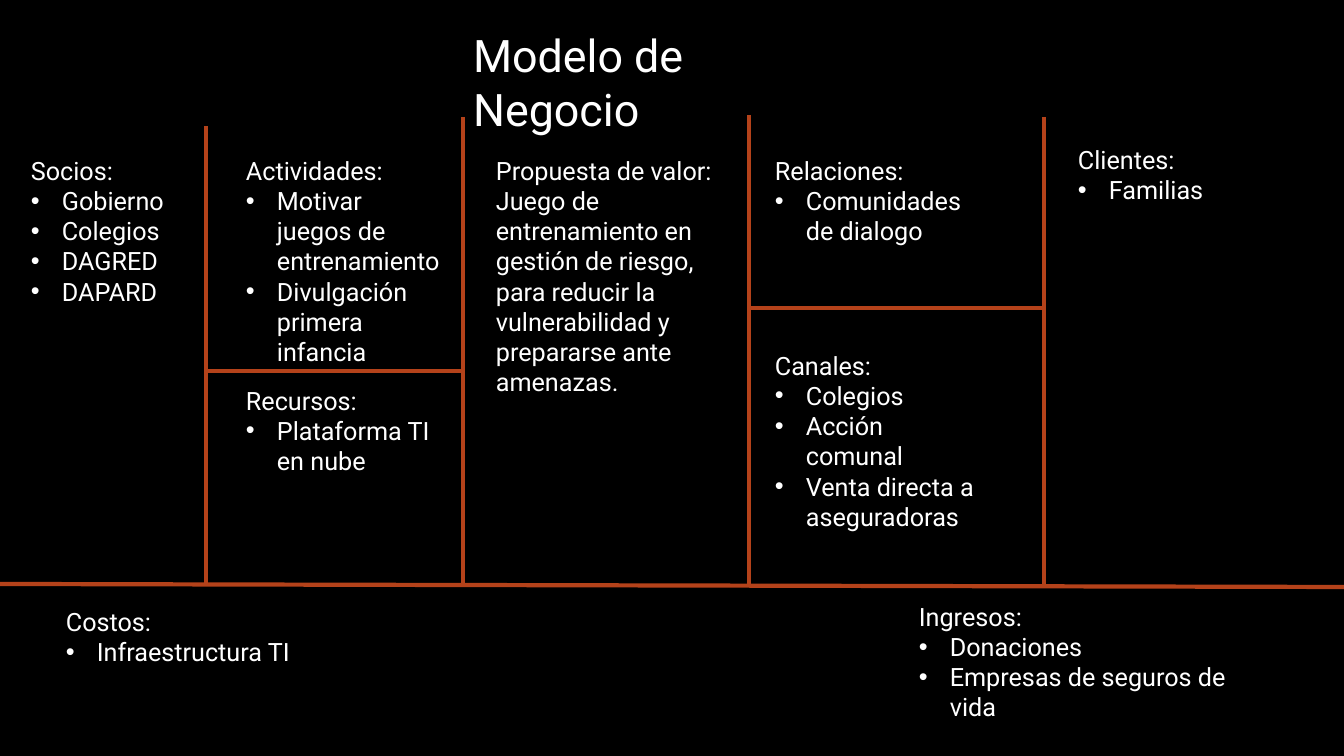
"""Build the "Modelo de Negocio" business model canvas slide."""
import lxml.etree
import pptx
import pptx.dml.color
import pptx.enum.shapes
import pptx.enum.text
import pptx.oxml.ns
import pptx.util

THEME = {
    "background": pptx.dml.color.RGBColor.from_string("000000"),
    "text": pptx.dml.color.RGBColor.from_string("FFFFFF"),
    "divider": pptx.dml.color.RGBColor.from_string("B4421A"),
    "font": "Roboto",
    "title_size": pptx.util.Pt(32),
    "body_size": pptx.util.Pt(18),
    "divider_width": pptx.util.Pt(3),
}
BULLET_INDENT = 31


def px(length):
    return pptx.util.Emu(round(length * 914400 / 100.8))


def add_text(paragraph, wording, size):
    paragraph.alignment = pptx.enum.text.PP_ALIGN.LEFT
    run = paragraph.add_run()
    run.text = wording
    run.font.name = THEME["font"]
    run.font.size = size
    run.font.color.rgb = THEME["text"]


deck = pptx.Presentation()
deck.slide_width, deck.slide_height = px(1344), px(756)
slide = deck.slides.add_slide(deck.slide_layouts[5])
slide.background.fill.solid()
slide.background.fill.fore_color.rgb = THEME["background"]

heading = slide.shapes.title
heading.left, heading.top, heading.width, heading.height = px(463), px(23), px(394), px(65)
heading.text_frame.word_wrap = True
heading.text_frame.auto_size = pptx.enum.text.MSO_AUTO_SIZE.NONE
heading.text_frame.vertical_anchor = pptx.enum.text.MSO_ANCHOR.TOP
add_text(heading.text_frame.paragraphs[0], "Modelo de Negocio", THEME["title_size"])

value_proposal = ("Juego de entrenamiento en gestión de riesgo, para reducir la "
                  "vulnerabilidad y prepararse ante amenazas.")
blocks = [
    (21, 150, 185, 194, "Socios:", ["Gobierno", "Colegios", "DAGRED", "DAPARD"], True),
    (236, 150, 216, 254, "Actividades:",
     ["Motivar juegos de entrenamiento", "Divulgación primera infancia"], True),
    (236, 380, 227, 102, "Recursos:", ["Plataforma TI en nube"], True),
    (486, 150, 253, 254, "Propuesta de valor:", [value_proposal], False),
    (765, 150, 209, 102, "Relaciones:", ["Comunidades de dialogo"], True),
    (765, 345, 227, 194, "Canales:",
     ["Colegios", "Acción comunal", "Venta directa a aseguradoras"], True),
    (1068, 139, 149, 72, "Clientes:", ["Familias"], True),
    (56, 601, 252, 72, "Costos:", ["Infraestructura TI"], True),
    (909, 596, 379, 102, "Ingresos:", ["Donaciones", "Empresas de seguros de vida"], True),
]
for left, top, width, height, label, entries, bulleted in blocks:
    block = slide.shapes.add_textbox(px(left), px(top), px(width), px(height)).text_frame
    block.word_wrap = True
    add_text(block.paragraphs[0], label, THEME["body_size"])
    for entry in entries:
        paragraph = block.add_paragraph()
        add_text(paragraph, entry, THEME["body_size"])
        if bulleted:
            properties = paragraph._p.get_or_add_pPr()
            properties.set("marL", str(px(BULLET_INDENT)))
            properties.set("indent", str(-px(BULLET_INDENT)))
            bullet_font = lxml.etree.SubElement(properties, pptx.oxml.ns.qn("a:buFont"))
            bullet_font.set("typeface", "Arial")
            bullet = lxml.etree.SubElement(properties, pptx.oxml.ns.qn("a:buChar"))
            bullet.set("char", "•")

dividers = [
    (206, 126, 206, 585),
    (463, 117, 463, 585),
    (749, 115, 749, 585),
    (1044, 117, 1044, 585),
    (206, 371, 463, 371),
    (749, 308, 1044, 308),
    (0, 584, 1344, 587),
]
for ends in dividers:
    divider = slide.shapes.add_connector(
        pptx.enum.shapes.MSO_CONNECTOR.STRAIGHT, *map(px, ends))
    divider.line.color.rgb = THEME["divider"]
    divider.line.width = THEME["divider_width"]
    lxml.etree.SubElement(divider._element.spPr, pptx.oxml.ns.qn("a:effectLst"))

deck.save("out.pptx")
